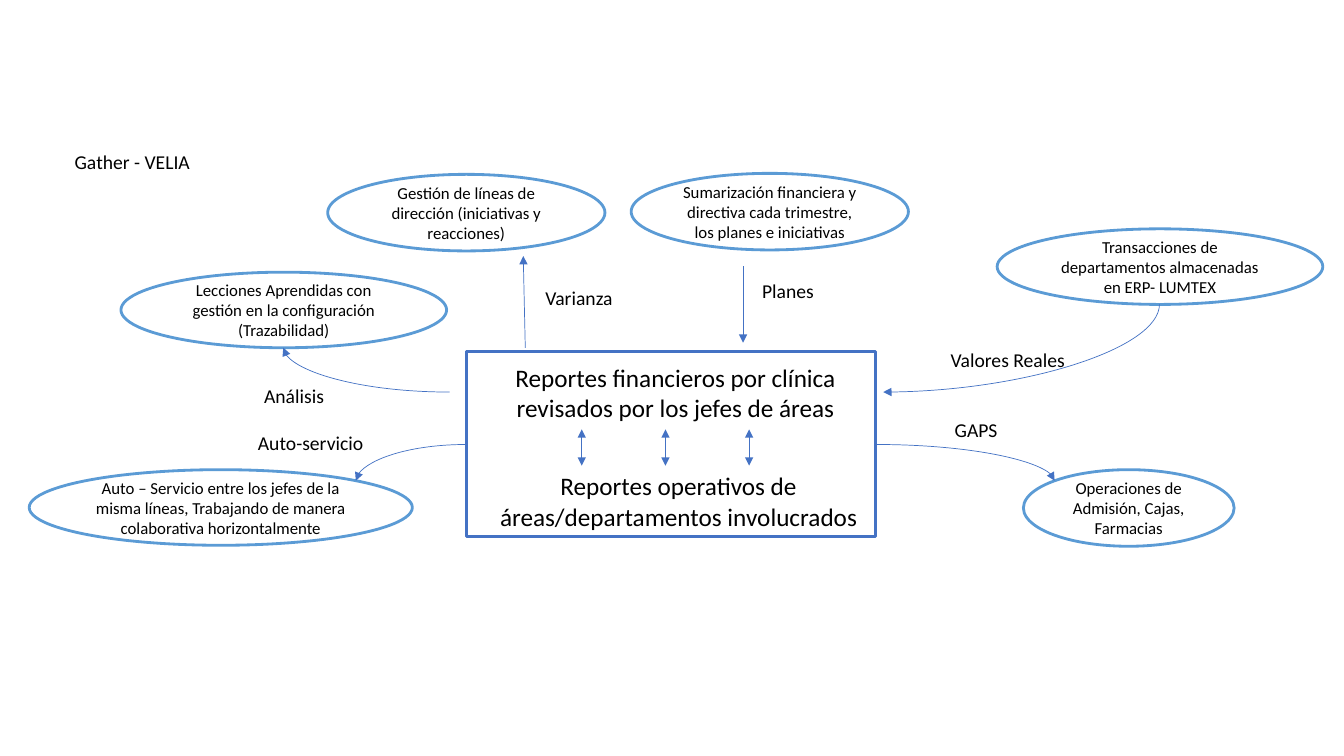
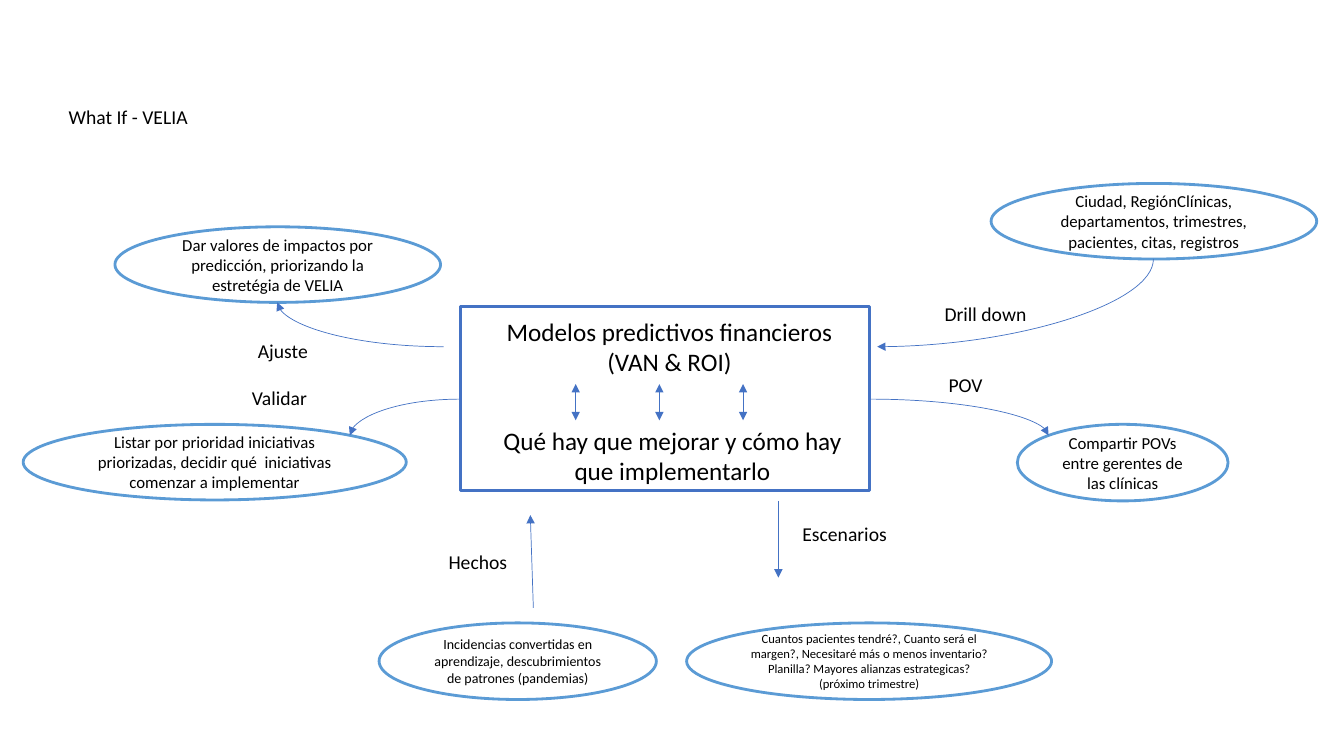
from lxml import etree
from pptx import Presentation
from pptx.dml.color import RGBColor
from pptx.enum.shapes import MSO_CONNECTOR as CONN, MSO_SHAPE as SHAPE
from pptx.enum.text import MSO_ANCHOR as ANCHOR, MSO_AUTO_SIZE as FIT, PP_ALIGN as ALIGN
from pptx.oxml.ns import qn
from pptx.util import Inches, Pt

COLORS = {"white": "FFFFFF", "text": "000000", "hub": "4472C4", "bubble": "5B9BD5"}
FONT = "Calibri"
HUB_W, HUB_H = 4.05, 1.83

# Places shared by both slides, measured from the hub's top left corner.
TITLE_AT = (-3.99, -2.05)
BUBBLES = {
    "source": (5.26, -1.22, 3.23, 0.75),
    "share": (5.52, 1.17, 2.09, 0.76),
    "learn": (-3.43, -0.79, 3.23, 0.75),
    "team": (-4.34, 1.17, 3.8, 0.75),
}
LABELS = {
    "source": (4.7, -0.09),
    "share": (4.74, 0.61),
    "learn": (-2.11, 0.27),
    "team": (-2.17, 0.74),
}
# Each curve leaves the hub sideways; "inward" ones point back at it.
CURVES = {
    "source": ((4.13, 0.4), (6.87, -0.47), "inward"),
    "share": ((HUB_W, 0.92), (5.83, 1.28), "outward"),
    "learn": ((-0.17, 0.4), (-1.82, -0.04), "outward"),
    "team": ((0, 0.92), (-1.1, 1.28), "outward"),
}

# branches: name -> (bubble text, label, label width)
# extras: (bubble box, bubble text, size, arrow from, arrow to, label, label box)
SLIDES = [
    {
        "hub_at": (4.63, 3.49),
        "title": ("Gather - VELIA", 1.47),
        "hub": ("Reportes financieros por clínica revisados por los jefes de áreas",
                "Reportes operativos de áreas/departamentos involucrados"),
        "branches": {
            "source": ("Transacciones de departamentos almacenadas en ERP- LUMTEX",
                       "Valores Reales", 1.35),
            "share": ("Operaciones de Admisión, Cajas, Farmacias", "GAPS", 0.63),
            "learn": ("Lecciones Aprendidas con gestión en la configuración (Trazabilidad)",
                      "Análisis", 0.81),
            "team": ("Auto – Servicio entre los jefes de la misma líneas, "
                     "Trabajando de manera colaborativa horizontalmente",
                     "Auto-servicio", 1.26),
        },
        "extras": [
            ((1.63, -1.77, 2.75, 0.76),
             "Sumarización financiera y directiva cada trimestre, los planes e iniciativas",
             12, (2.74, -0.85), (2.74, -0.09), "Planes", (2.83, -0.77, 0.72)),
            ((-1.38, -1.76, 2.75, 0.76),
             "Gestión de líneas de dirección (iniciativas y reacciones)",
             12, (0.58, -0.04), (0.56, -0.95), "Varianza", (0.68, -0.7, 0.88)),
        ],
    },
    {
        "hub_at": (4.57, 3.04),
        "title": ("What If - VELIA", 1.51),
        "hub": ("Modelos predictivos financieros (VAN & ROI)",
                "Qué hay que mejorar y cómo hay que implementarlo"),
        "branches": {
            "source": ("Ciudad, RegiónClínicas, departamentos, trimestres, "
                       "pacientes, citas, registros", "Drill down", 1.02),
            "share": ("Compartir POVs entre gerentes de las clínicas", "POV", 0.54),
            "learn": ("Dar valores de impactos por predicción, priorizando la "
                      "estretégia de VELIA", "Ajuste", 0.7),
            "team": ("Listar por prioridad iniciativas priorizadas, decidir qué  "
                     "iniciativas comenzar a implementar", "Validar", 0.76),
        },
        "extras": [
            ((2.24, 3.14, 3.62, 0.76),
             "Cuantos pacientes tendré?, Cuanto será el margen?, Necesitaré más o menos "
             "inventario? Planilla? Mayores alianzas estrategicas?\n(próximo trimestre)",
             9, (3.15, 1.93), (3.15, 2.69), "Escenarios", (3.29, 2.09, 1.05)),
            ((-0.81, 3.14, 2.75, 0.76),
             "Incidencias convertidas en aprendizaje, descubrimientos de patrones (pandemias)",
             10, (0.72, 2.99), (0.69, 2.07), "Hechos", (-0.22, 2.37, 0.79)),
        ],
    },
]


def rgb(name):
    """Return the named colour."""
    return RGBColor.from_string(COLORS[name])


def shift(origin, box):
    """Move a point or box by origin and return its lengths."""
    x, y, *size = box
    return [Inches(v) for v in (origin[0] + x, origin[1] + y, *size)]


def write(tf, text, size=14, align=ALIGN.LEFT, anchor=ANCHOR.TOP, wrap=True, fit=FIT.NONE):
    """Fill a text frame, one paragraph per line of text."""
    tf.word_wrap, tf.auto_size, tf.vertical_anchor = wrap, fit, anchor
    for i, line in enumerate(text.split("\n")):
        p = tf.paragraphs[0] if i == 0 else tf.add_paragraph()
        p.alignment = align
        r = p.add_run()
        r.text = line
        r.font.name, r.font.size = FONT, Pt(size)
        r.font.color.rgb = rgb("text")


def add_title(s, origin, text, width):
    """Place the slide title above the diagram."""
    sp = s.shapes.title
    sp.left, sp.top, sp.width, sp.height = shift(origin, (*TITLE_AT, width, 0.34))
    write(sp.text_frame, text, wrap=False)


def add_text(s, origin, box, text, **fmt):
    """Add a text box."""
    sp = s.shapes.add_textbox(*shift(origin, box))
    write(sp.text_frame, text, fit=FIT.SHAPE_TO_FIT_TEXT, **fmt)


def add_outlined(s, origin, box, kind, color, weight):
    """Add a white shape with a coloured outline."""
    sp = s.shapes.add_shape(kind, *shift(origin, box))
    sp.shadow.inherit = False
    sp.fill.solid()
    sp.fill.fore_color.rgb = rgb("white")
    sp.line.color.rgb, sp.line.width = rgb(color), Pt(weight)
    return sp


def add_bubble(s, origin, box, text, size=12):
    """Add an ellipse with centred text."""
    sp = add_outlined(s, origin, box, SHAPE.OVAL, "bubble", 2)
    write(sp.text_frame, text, size=size, align=ALIGN.CENTER, anchor=ANCHOR.MIDDLE)


def add_arrow(s, origin, start, end, ends=("tailEnd",), curved=False):
    """Add a thin straight or quarter-curve arrow."""
    kind = CONN.CURVE if curved else CONN.STRAIGHT
    cx = s.shapes.add_connector(kind, *shift(origin, start), *shift(origin, end))
    cx.line.color.rgb, cx.line.width = rgb("hub"), Pt(0.5)
    pr = cx._element.spPr
    if curved:
        pr.find(qn("a:prstGeom")).set("prst", "curvedConnector2")
    for tag in ends:
        etree.SubElement(pr.find(qn("a:ln")), qn("a:" + tag), type="triangle")
    etree.SubElement(pr, qn("a:effectLst"))


def add_hub(s, origin, texts):
    """Draw the central box: two statements joined by double arrows."""
    add_outlined(s, origin, (0, 0, HUB_W, HUB_H), SHAPE.RECTANGLE, "hub", 2.25)
    for (x, y), text in zip(((0.17, 0.05), (0.2, 1.13)), texts):
        add_text(s, origin, (x, y, 3.8, 0.71), text, size=18, align=ALIGN.CENTER)
    for i in range(3):
        x = 1.14 + 0.83 * i
        add_arrow(s, origin, (x, 0.77), (x, 1.13), ends=("headEnd", "tailEnd"))


def add_branch(s, origin, name, text, label, width):
    """Draw one side bubble with its curve and label."""
    add_bubble(s, origin, BUBBLES[name], text)
    start, end, way = CURVES[name]
    ends = ("headEnd",) if way == "inward" else ("tailEnd",)
    add_arrow(s, origin, start, end, ends=ends, curved=True)
    add_text(s, origin, (*LABELS[name], width, 0.34), label, wrap=False)


def add_extra(s, origin, box, text, size, start, end, label, label_box):
    """Draw a bubble above or below the hub with its straight arrow and label."""
    add_bubble(s, origin, box, text, size)
    add_arrow(s, origin, start, end)
    add_text(s, origin, (*label_box, 0.34), label, wrap=False)


def add_diagram(prs, data):
    """Build one hub-and-bubbles slide."""
    s = prs.slides.add_slide(prs.slide_layouts[5])
    origin = data["hub_at"]
    add_title(s, origin, *data["title"])
    add_hub(s, origin, data["hub"])
    for name, parts in data["branches"].items():
        add_branch(s, origin, name, *parts)
    for extra in data["extras"]:
        add_extra(s, origin, *extra)


prs = Presentation()
prs.slide_width, prs.slide_height = Inches(13.33), Inches(7.5)
for data in SLIDES:
    add_diagram(prs, data)
prs.save("out.pptx")
